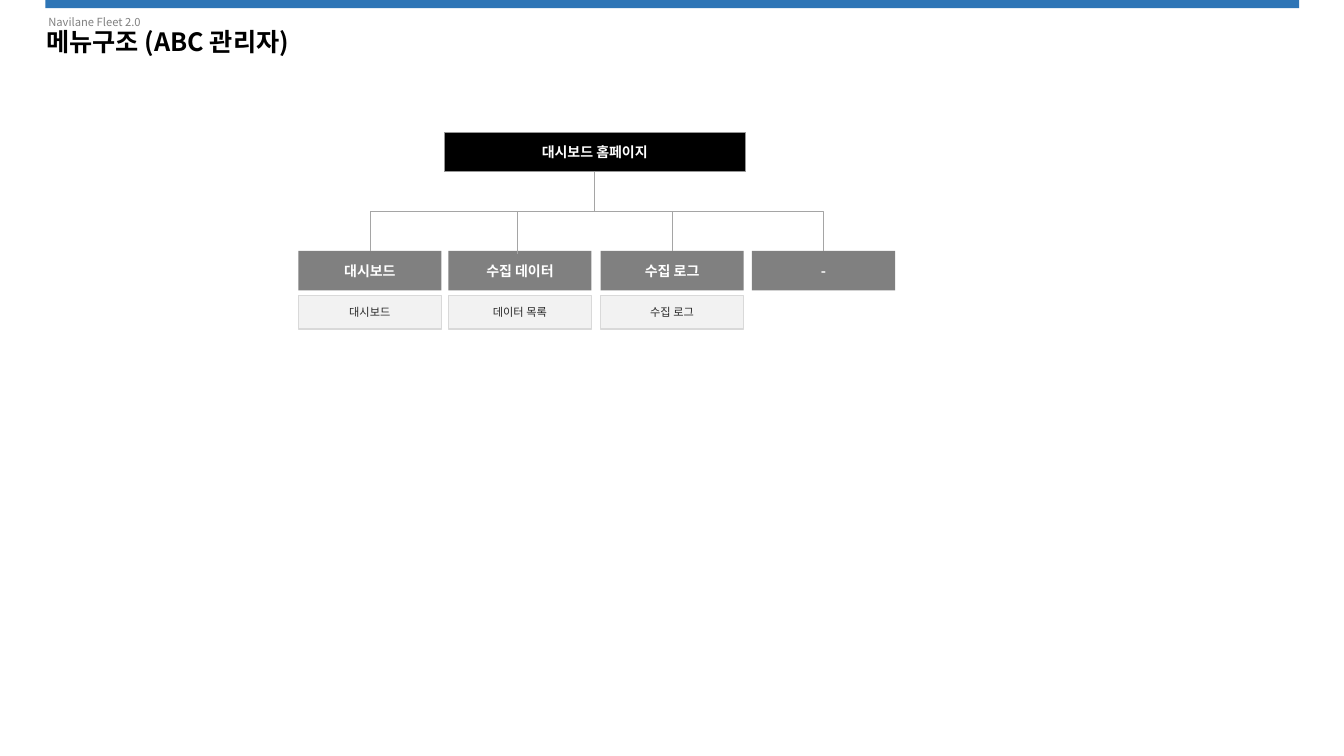
from dataclasses import dataclass

from lxml import etree
from pptx import Presentation
from pptx.dml.color import RGBColor
from pptx.enum.shapes import MSO_CONNECTOR, MSO_SHAPE
from pptx.enum.text import MSO_ANCHOR, MSO_AUTO_SIZE, PP_ALIGN
from pptx.oxml.ns import qn
from pptx.util import Pt

ELBOW, STRAIGHT = MSO_CONNECTOR.ELBOW, MSO_CONNECTOR.STRAIGHT
RECTANGLE, ROUNDED = MSO_SHAPE.RECTANGLE, MSO_SHAPE.ROUNDED_RECTANGLE
LEFT, CENTER = PP_ALIGN.LEFT, PP_ALIGN.CENTER
TOP, MIDDLE = MSO_ANCHOR.TOP, MSO_ANCHOR.MIDDLE
NO_AUTOFIT = MSO_AUTO_SIZE.NONE
TOP_SIDE, BOTTOM_SIDE = 0, 2
FONT = "Noto Sans CJK KR"

# Measures of the menu tree, in points
MENU_TOP, MENU_WIDTH, MENU_HEIGHT = 179.2, 102.2, 28.2
PAGE_TOP, PAGE_HEIGHT = 211, 23.9
HOME_LEFT, HOME_TOP, HOME_WIDTH = 317.4, 94.4, 214.8
BUS_TOP = 151.2


@dataclass
class BoxStyle:
    fill: str
    line: str | None
    line_width: float
    text_color: str
    size: float
    bold: bool
    inset_x: float
    inset_y: float


@dataclass
class Menu:
    left: float
    label: str
    page_label: str | None = None

    @property
    def center(self) -> float:
        return self.left + MENU_WIDTH / 2


HOME_STYLE = BoxStyle("000000", "969696", 0.5, "FFFFFF", 10, True, 7.2, 3.6)
MENU_STYLE = BoxStyle("808080", None, 0, "FFFFFF", 10, True, 7.2, 3.6)
PAGE_STYLE = BoxStyle("F2F2F2", "D9D9D9", 1, "292929", 8, False, 2.88, 2.88)

MENUS = [
    Menu(213.1, "대시보드", "대시보드"),
    Menu(320.3, "수집 데이터", "데이터 목록"),
    Menu(429, "수집 로그", "수집 로그"),
    Menu(537.1, "-"),
]


def color(value: str) -> RGBColor:
    return RGBColor.from_string(value)


def write(shape, text: str, size: float, text_color: str, bold: bool, align) -> None:
    paragraph = shape.text_frame.paragraphs[0]
    paragraph.text = text
    paragraph.alignment = align
    font = paragraph.font
    font.size, font.bold, font.name = Pt(size), bold, FONT
    font.color.rgb = color(text_color)
    etree.SubElement(font._element, qn("a:ea"), typeface=FONT)


def add_box(page, text: str, left: float, top: float, width: float, height: float,
            style: BoxStyle):
    box = page.shapes.add_shape(ROUNDED, Pt(left), Pt(top), Pt(width), Pt(height))
    box.adjustments[0] = 0
    box.shadow.inherit = False
    box.fill.solid()
    box.fill.fore_color.rgb = color(style.fill)
    if style.line:
        box.line.color.rgb = color(style.line)
        box.line.width = Pt(style.line_width)
    else:
        box.line.fill.background()
    frame = box.text_frame
    frame.word_wrap, frame.vertical_anchor = True, MIDDLE
    frame.margin_left = frame.margin_right = Pt(style.inset_x)
    frame.margin_top = frame.margin_bottom = Pt(style.inset_y)
    write(box, text, style.size, style.text_color, style.bold, CENTER)
    return box


def add_line(page, kind, x1: float, y1: float, x2: float, y2: float):
    line = page.shapes.add_connector(kind, Pt(x1), Pt(y1), Pt(x2), Pt(y2))
    line.line.color.rgb = color("A5A5A5")
    line.line.width = Pt(0.5)
    etree.SubElement(line._element.spPr, qn("a:effectLst"))
    return line


def add_branch(page, home, menu_box) -> None:
    """Join home to a menu with an elbow that leaves and arrives vertically."""
    branch = add_line(page, ELBOW, 0, 0, 0, 0)
    branch.begin_connect(home, BOTTOM_SIDE)
    branch.end_connect(menu_box, TOP_SIDE)
    start_x, start_y = branch.begin_x, branch.begin_y
    run, drop = branch.end_x - start_x, branch.end_y - start_y
    xfrm = branch._element.spPr.find(qn("a:xfrm"))
    xfrm.attrib.clear()
    xfrm.set("rot", str((90 if run < 0 else 270) * 60000))
    if run > 0:
        xfrm.set("flipH", "1")
    branch.left = start_x + (run - drop) // 2
    branch.top = start_y + (drop - abs(run)) // 2
    branch.width, branch.height = drop, abs(run)


def main() -> None:
    deck = Presentation()
    deck.slide_width, deck.slide_height = Pt(960), Pt(540)
    page = deck.slides.add_slide(deck.slide_layouts[5])

    # Header
    title = page.shapes.title
    title.left, title.top, title.width, title.height = Pt(25.9), Pt(17.3), Pt(591), Pt(36.7)
    title.text_frame.auto_size = NO_AUTOFIT
    title.text_frame.vertical_anchor = TOP
    write(title, "메뉴구조 (ABC 관리자)", 18, "000000", True, LEFT)
    title.text_frame.paragraphs[0].line_spacing = 0.9

    product = page.shapes.add_textbox(Pt(27.4), Pt(7.2), Pt(175), Pt(17.3))
    product.text_frame.word_wrap = True
    write(product, "Navilane Fleet 2.0", 8, "808080", False, LEFT)

    bar = page.shapes.add_shape(RECTANGLE, Pt(32.4), Pt(0), Pt(895.7), Pt(5.8))
    bar.shadow.inherit = False
    bar.fill.solid()
    bar.fill.fore_color.rgb = color("2E75B6")
    bar.line.fill.background()

    # Menu boxes
    home = add_box(page, "대시보드 홈페이지", HOME_LEFT, HOME_TOP, HOME_WIDTH,
                   MENU_HEIGHT, HOME_STYLE)
    menu_boxes = []
    for menu in MENUS:
        menu_boxes.append(add_box(page, menu.label, menu.left, MENU_TOP, MENU_WIDTH,
                                  MENU_HEIGHT, MENU_STYLE))
        if menu.page_label:
            add_box(page, menu.page_label, menu.left, PAGE_TOP, MENU_WIDTH,
                    PAGE_HEIGHT, PAGE_STYLE)

    # Branches to the outer menus, drops to the inner ones
    for menu_box in (menu_boxes[0], menu_boxes[-1]):
        add_branch(page, home, menu_box)
    add_line(page, STRAIGHT, 369.4, BUS_TOP, 369.4, 181.4)
    log_drop = add_line(page, STRAIGHT, MENUS[2].center, BUS_TOP, MENUS[2].center, MENU_TOP)
    log_drop.end_connect(menu_boxes[2], TOP_SIDE)

    deck.save("out.pptx")


if __name__ == "__main__":
    main()
